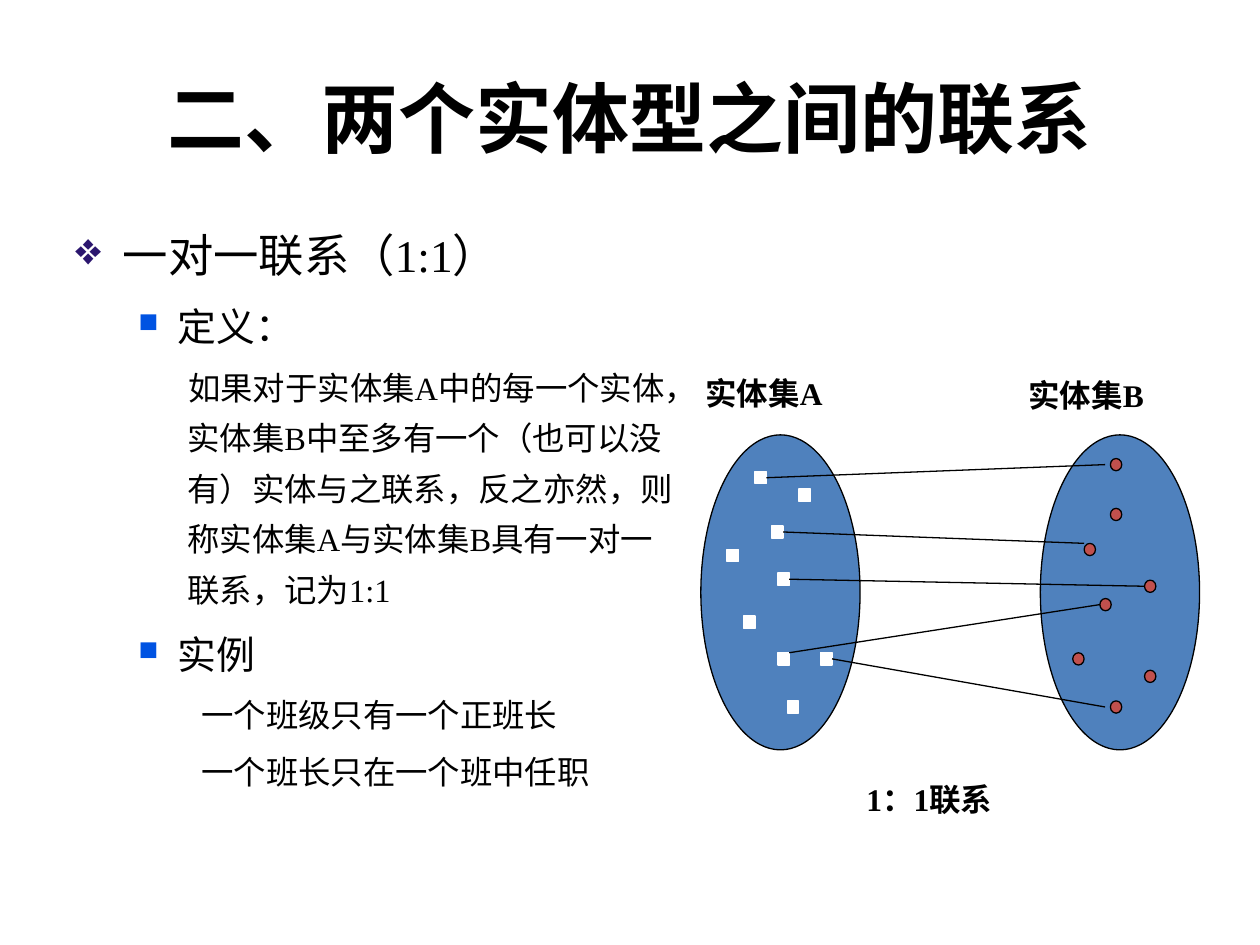
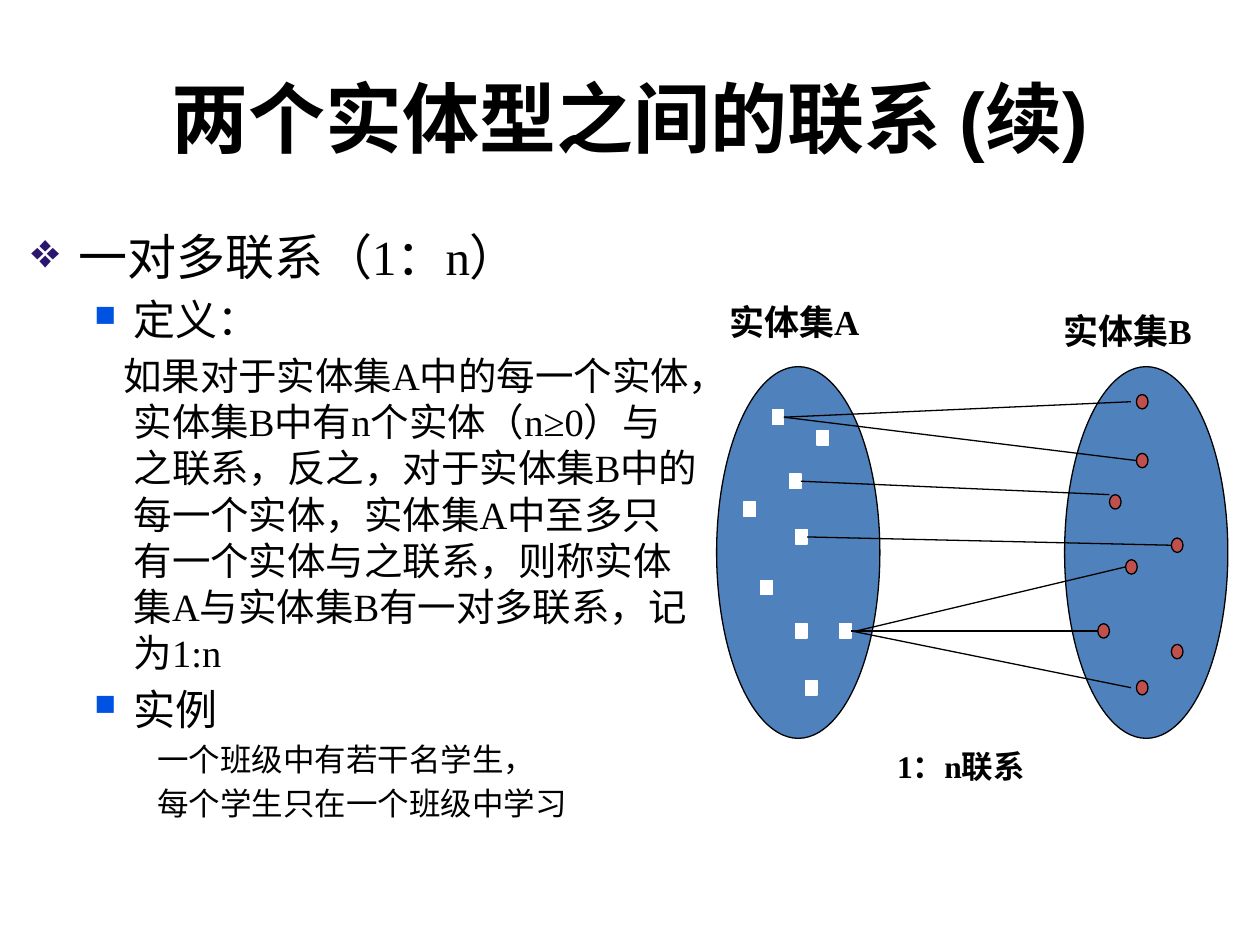
"""Two slides on one-to-one and one-to-many links between entity sets."""
from dataclasses import dataclass

from lxml import etree
from pptx import Presentation
from pptx.dml.color import RGBColor
from pptx.enum.shapes import MSO_CONNECTOR, MSO_SHAPE
from pptx.enum.text import MSO_ANCHOR, PP_ALIGN
from pptx.oxml.ns import qn
from pptx.util import Pt

OVAL, RECT = MSO_SHAPE.OVAL, MSO_SHAPE.RECTANGLE
LINE = MSO_CONNECTOR.STRAIGHT
TOP, MIDDLE = MSO_ANCHOR.TOP, MSO_ANCHOR.MIDDLE
LEFT, CENTER = PP_ALIGN.LEFT, PP_ALIGN.CENTER
BLANK, RIGHT_SIDE = 6, 3

BLACK, WHITE, BLUE, RED = "000000", "FFFFFF", "4F81BD", "C0504D"
HEAD_FONT, BODY_FONT = "Arial", "Times New Roman"
SET_SIZE, SET_STEP = (91, 180), 194
DOT_W, DOT_H = 6.5, 7
A_DOTS = [(31, 21), (56, 31), (15, 65.5), (40.5, 52), (24.5, 103.5),
          (44, 79), (44, 124.5), (68.5, 124.5), (49.5, 152)]
B_DOTS = [(234, 13.5), (234, 42), (219, 62), (253.5, 83), (228, 93.5),
          (234, 152), (253.5, 134.5), (212.5, 124.5)]


@dataclass(frozen=True)
class Mark:
    """A bullet sign with its colour and its size in percent."""
    sign: str
    color: str
    scale: int = 100


@dataclass(frozen=True)
class Style:
    """Left margin, first-line indent and bullet of a body line."""
    margin: float
    indent: float
    mark: Mark | None = None


@dataclass(frozen=True)
class Row:
    """One paragraph of the body."""
    text: str
    size: float
    style: Style


@dataclass(frozen=True)
class Label:
    """A bold caption in the diagram."""
    text: str
    x: float
    y: float
    size: float = 18


@dataclass(frozen=True)
class Link:
    """A line from a dot of set A to a dot of set B, with end offsets."""
    a: int
    b: int
    start: tuple[float, float] = (0, 0)
    end: tuple[float, float] = (0, 0)


@dataclass(frozen=True)
class Page:
    """All that differs from slide to slide."""
    title: str
    body: tuple[float, float, float, float]
    spacing: float
    rows: list[Row]
    origin: tuple[float, float]
    scale: tuple[float, float]
    links: list[Link]
    labels: list[Label]


TOPIC = Style(27, -27, Mark("❖", "2B166E"))
POINT = Style(58.5, -22.5, Mark("■", "0053E2", 70))
CASE = Style(90, -18)
NEAR, HIGH = (-3, 0), (0, -DOT_H / 2)

PAGES = [
    Page("二、两个实体型之间的联系", (36, 126, 356.4, 356.4), 1.3,
         [Row("一对一联系（1:1）", 25.9, TOPIC),
          Row("定义：", 22.2, POINT),
          Row("如果对于实体集A中的每一个实体，实体集B中至多有一个（也可以没有）"
              "实体与之联系，反之亦然，则称实体集A与实体集B具有一对一联系，记为1:1",
              18.5, Style(64, 0.5)),
          Row("实例", 22.2, POINT),
          Row("一个班级只有一个正班长", 18.5, CASE),
          Row("一个班长只在一个班中任职", 18.5, CASE)],
         (400.5, 248.5), (1, 1),
         [Link(0, 0, end=NEAR), Link(3, 2, end=HIGH), Link(5, 3),
          Link(6, 4, start=HIGH), Link(7, 5, end=NEAR)],
         [Label("1：1联系", 488, 442), Label("实体集A", 396, 210),
          Label("实体集B", 580.5, 211.5)]),
    Page("两个实体型之间的联系 (续)", (10.8, 126, 395.3, 373.7), 1,
         [Row("一对多联系（1：n）", 28, TOPIC),
          Row("定义：", 24, POINT),
          Row("如果对于实体集A中的每一个实体，实体集B中有n个实体（n≥0）与之联系，"
              "反之，对于实体集B中的每一个实体，实体集A中至多只有一个实体与之联系，"
              "则称实体集A与实体集B有一对多联系，记为1:n", 22, Style(58.5, -6)),
          Row("实例", 24, POINT),
          Row("一个班级中有若干名学生，", 18, CASE),
          Row("每个学生只在一个班级中学习", 18, CASE)],
         (409.5, 209.5), (1.025, 1.18),
         [Link(0, 0, end=NEAR), Link(3, 2, end=HIGH), Link(5, 3),
          Link(7, 4, start=(3, 0)), Link(7, 5, end=NEAR),
          Link(0, 1), Link(7, 7)],
         [Label("1：n联系", 505.5, 423.5), Label("实体集A", 409.5, 168, 20),
          Label("实体集B", 600.5, 173.5, 20)]),
]


def rgb(color: str) -> RGBColor:
    """Turn a hex string into a colour."""
    return RGBColor.from_string(color)


def add_frame(shapes, x: float, y: float, w: float, h: float, anchor=TOP):
    """Add an empty wrapping text box and return its text frame."""
    frame = shapes.add_textbox(Pt(x), Pt(y), Pt(w), Pt(h)).text_frame
    frame.word_wrap = True
    frame.vertical_anchor = anchor
    return frame


def set_text(para, text: str, size: float, face: str = BODY_FONT,
             bold: bool = False, align=LEFT) -> None:
    """Fill a paragraph and set its font."""
    para.text = text
    para.alignment = align
    font = para.font
    font.name, font.size, font.bold = face, Pt(size), bold
    font.color.rgb = rgb(BLACK)


def set_style(para, style: Style) -> None:
    """Set the indents and the bullet of a paragraph."""
    props = para._p.get_or_add_pPr()
    props.set("marL", str(Pt(style.margin)))
    props.set("indent", str(Pt(style.indent)))
    if style.mark:
        color = etree.SubElement(props, qn("a:buClr"))
        etree.SubElement(color, qn("a:srgbClr"), val=style.mark.color)
        etree.SubElement(props, qn("a:buSzPct"),
                         val=str(style.mark.scale * 1000))
        etree.SubElement(props, qn("a:buChar"), char=style.mark.sign)


def add_body(shapes, page: Page) -> None:
    """Draw the outline on the left."""
    frame = add_frame(shapes, *page.body)
    for i, row in enumerate(page.rows):
        para = frame.add_paragraph() if i else frame.paragraphs[0]
        set_style(para, row.style)
        set_text(para, row.text, row.size)
        para.space_before = Pt(0.2 * row.size if i else 0)
        para.line_spacing = page.spacing if i else 1.0


def add_graph(shapes, page: Page) -> None:
    """Draw both sets, their dots, the links and the captions."""
    (left, top), (wide, tall) = page.origin, page.scale

    def place(x: float, y: float) -> tuple[Pt, Pt]:
        """Map a point of the diagram to the slide."""
        return Pt(left + x * wide), Pt(top + y * tall)

    def draw(kind, spot, size, fill: str, edge: str):
        """Add one filled shape."""
        shape = shapes.add_shape(kind, *place(*spot), Pt(size[0] * wide),
                                 Pt(size[1] * tall))
        shape.shadow.inherit = False
        shape.fill.solid()
        shape.fill.fore_color.rgb = rgb(fill)
        shape.line.color.rgb = rgb(edge)
        shape.line.width = Pt(0.75)
        return shape

    for x in (0, SET_STEP):
        draw(OVAL, (x, 0), SET_SIZE, BLUE, BLACK)
    dot = (DOT_W, DOT_H)
    boxes = [draw(RECT, spot, dot, WHITE, WHITE) for spot in A_DOTS]
    for spot in B_DOTS:
        draw(OVAL, spot, dot, RED, BLACK)

    for link in page.links:
        (ax, ay), (bx, by) = A_DOTS[link.a], B_DOTS[link.b]
        start = place(ax + DOT_W + link.start[0], ay + DOT_H / 2 + link.start[1])
        end = place(bx + link.end[0], by + DOT_H / 2 + link.end[1])
        line = shapes.add_connector(LINE, *start, *end)
        line.line.color.rgb = rgb(BLACK)
        line.line.width = Pt(0.75)
        etree.SubElement(line._element.spPr, qn("a:effectLst"))
        if link.start == (0, 0):
            line.begin_connect(boxes[link.a], RIGHT_SIDE)

    for label in page.labels:
        frame = add_frame(shapes, label.x, label.y, 110, 36)
        set_text(frame.paragraphs[0], label.text, label.size, bold=True)


def main() -> None:
    """Build and save the slides."""
    deck = Presentation()
    deck.slide_width, deck.slide_height = Pt(720), Pt(540)
    for page in PAGES:
        shapes = deck.slides.add_slide(deck.slide_layouts[BLANK]).shapes
        title = add_frame(shapes, 36, 21.6, 648, 90, MIDDLE)
        set_text(title.paragraphs[0], page.title, 44, HEAD_FONT, True, CENTER)
        add_body(shapes, page)
        add_graph(shapes.add_group_shape().shapes, page)
    deck.save("out.pptx")


if __name__ == "__main__":
    main()
